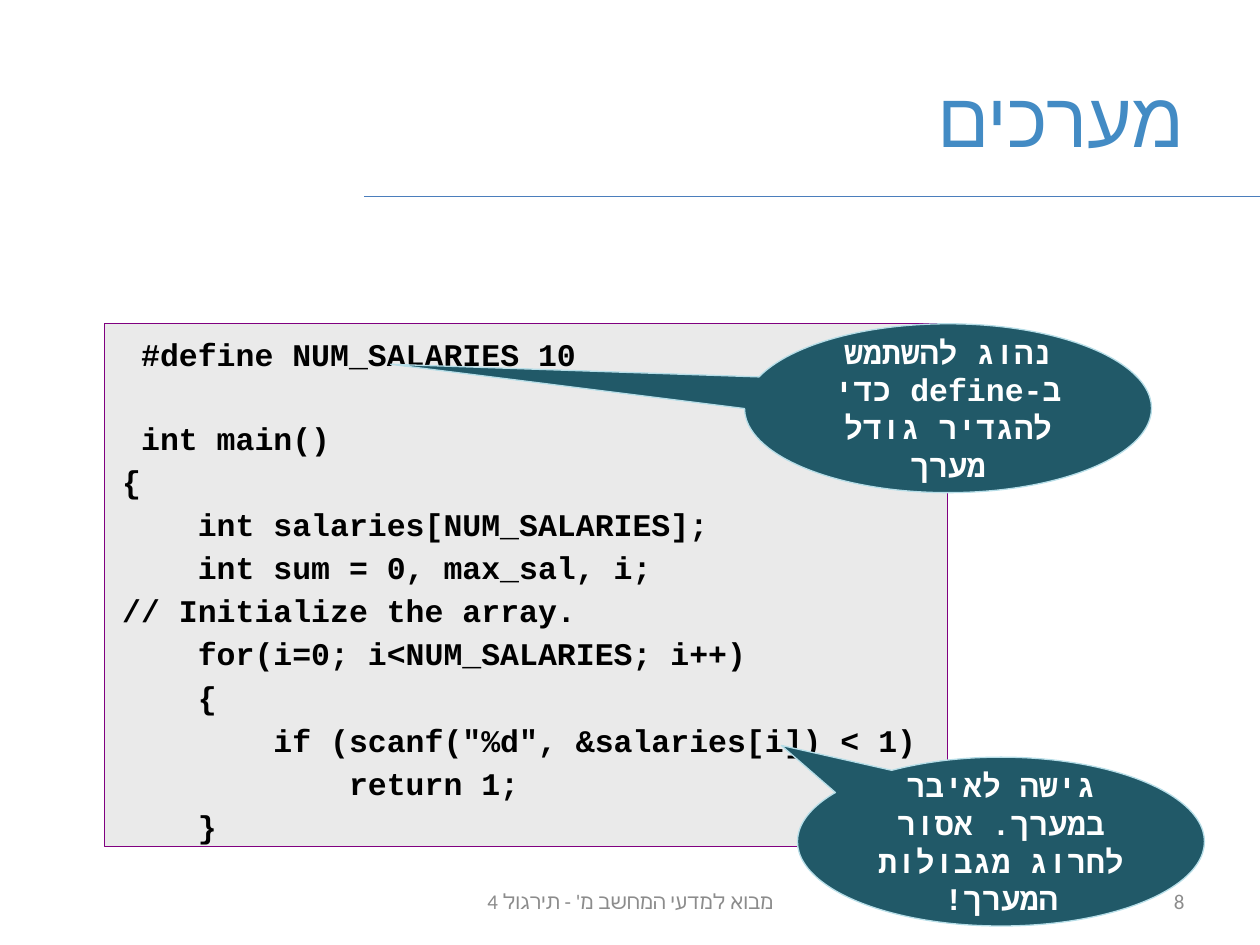
from lxml.etree import SubElement
from pptx import Presentation
from pptx.dml.color import RGBColor
from pptx.enum.shapes import MSO_CONNECTOR, MSO_SHAPE
from pptx.enum.text import MSO_ANCHOR, PP_ALIGN
from pptx.oxml.ns import qn
from pptx.util import Inches, Pt

TITLE_BLUE = RGBColor(0x43, 0x8B, 0xC4)
RULE_BLUE = RGBColor(0x4B, 0x7E, 0xBC)
FOOTER_GRAY = RGBColor(0x8C, 0x8C, 0x8C)
CODE_FILL = RGBColor(0xEA, 0xEA, 0xEA)
PURPLE = RGBColor(0x80, 0x00, 0x80)
TEAL = RGBColor(0x21, 0x59, 0x68)
PALE_TEAL = RGBColor(0xB7, 0xDE, 0xE8)
BLACK = RGBColor(0, 0, 0)
WHITE = RGBColor(0xFF, 0xFF, 0xFF)

TITLE = "מערכים"
# (text, left, width, alignment)
FOOTERS = [
    ("מבוא למדעי המחשב מ' - תירגול 4", 3.42, 3.17, PP_ALIGN.CENTER),
    ("8", 7.17, 2.33, PP_ALIGN.RIGHT),
]
# (column, code, empty lines above)
CODE = [
    (1, "#define NUM_SALARIES 10", 0),
    (1, "int main()", 1),
    (0, "{", 0),
    (4, "int salaries[NUM_SALARIES];", 0),
    (4, "int sum = 0, max_sal, i;", 0),
    (0, "// Initialize the array.", 0),
    (4, "for(i=0; i<NUM_SALARIES; i++)", 0),
    (4, "{", 0),
    (8, 'if (scanf("%d", &salaries[i]) < 1)', 0),
    (12, "return 1;", 0),
    (4, "}", 0),
]
# (text, left, top, pointer offset as shares of width and height)
CALLOUTS = [
    ("נהוג להשתמש ב-define כדי להגדיר גודל מערך", 5.91, 2.57, (-1.37, -0.26)),
    ("גישה לאיבר במערך. אסור לחרוג מגבולות המערך!", 6.33, 6.01, (-0.54, -0.57)),
]
CALLOUT_SIZE = (3.23, 1.34)
COLUMN_WIDTH = 0.15
LINE_GAP, LINE_PITCH = 3, 23.4


def box(left, top, width, height):
    return Inches(left), Inches(top), Inches(width), Inches(height)


def add_run(paragraph, text, font_name, size, color, bold=False):
    run = paragraph.add_run()
    run.text = text
    font = run.font
    font.name, font.size, font.bold = font_name, Pt(size), bold
    font.color.rgb = color
    SubElement(font._element, qn("a:cs")).set("typeface", font_name)


def set_hebrew(paragraph, alignment):
    paragraph.alignment = alignment
    paragraph._p.get_or_add_pPr().set("rtl", "1")


def add_filled(slide, kind, place, fill, line):
    shape = slide.shapes.add_shape(kind, *place)
    shape.shadow.inherit = False
    shape.fill.solid()
    shape.fill.fore_color.rgb = fill
    shape.line.color.rgb = line
    shape.line.width = Pt(0.75)
    shape.text_frame.word_wrap = True
    return shape


def add_heading(slide):
    rule = slide.shapes.add_connector(
        MSO_CONNECTOR.STRAIGHT, Inches(10), Inches(1.56), Inches(2.89), Inches(1.56))
    rule.line.color.rgb = RULE_BLUE
    rule.line.width = Pt(0.75)
    SubElement(rule._element.spPr, qn("a:effectLst"))

    title = slide.shapes.title
    title.left, title.top, title.width, title.height = box(0.5, 0.3, 9, 1.25)
    title.text_frame.vertical_anchor = MSO_ANCHOR.MIDDLE
    heading = title.text_frame.paragraphs[0]
    set_hebrew(heading, PP_ALIGN.RIGHT)
    add_run(heading, TITLE, "Arial", 44, TITLE_BLUE)


def add_footers(slide):
    for text, left, width, alignment in FOOTERS:
        frame = slide.shapes.add_textbox(*box(left, 6.95, width, 0.4)).text_frame
        frame.word_wrap = True
        frame.vertical_anchor = MSO_ANCHOR.MIDDLE
        set_hebrew(frame.paragraphs[0], alignment)
        add_run(frame.paragraphs[0], text, "Calibri", 12, FOOTER_GRAY)


def add_code(slide):
    panel = add_filled(slide, MSO_SHAPE.RECTANGLE, box(0.83, 2.57, 6.69, 4.15),
                       CODE_FILL, PURPLE)
    frame = panel.text_frame
    frame.vertical_anchor = MSO_ANCHOR.TOP
    frame.margin_left = frame.margin_right = Inches(0.14)
    frame.margin_top = frame.margin_bottom = Inches(0.09)
    for index, (column, code, empty_lines) in enumerate(CODE):
        line = frame.add_paragraph() if index else frame.paragraphs[0]
        line.alignment = PP_ALIGN.LEFT
        line.space_before = Pt(LINE_GAP + empty_lines * LINE_PITCH)
        line._p.get_or_add_pPr().set("marL", str(Inches(column * COLUMN_WIDTH)))
        add_run(line, code, "Courier New", 18, BLACK, bold=True)


def add_callouts(slide):
    for text, left, top, pointer in CALLOUTS:
        callout = add_filled(slide, MSO_SHAPE.OVAL_CALLOUT,
                             box(left, top, *CALLOUT_SIZE), TEAL, PALE_TEAL)
        callout.adjustments[0], callout.adjustments[1] = pointer
        frame = callout.text_frame
        frame.vertical_anchor = MSO_ANCHOR.MIDDLE
        set_hebrew(frame.paragraphs[0], PP_ALIGN.CENTER)
        add_run(frame.paragraphs[0], text, "Courier New", 18, WHITE, bold=True)


def main():
    deck = Presentation()
    deck.slide_width, deck.slide_height = Inches(10), Inches(7.5)
    slide = deck.slides.add_slide(deck.slide_layouts.get_by_name("Title Only"))
    add_heading(slide)
    add_footers(slide)
    add_code(slide)
    add_callouts(slide)
    deck.save("out.pptx")


if __name__ == "__main__":
    main()
